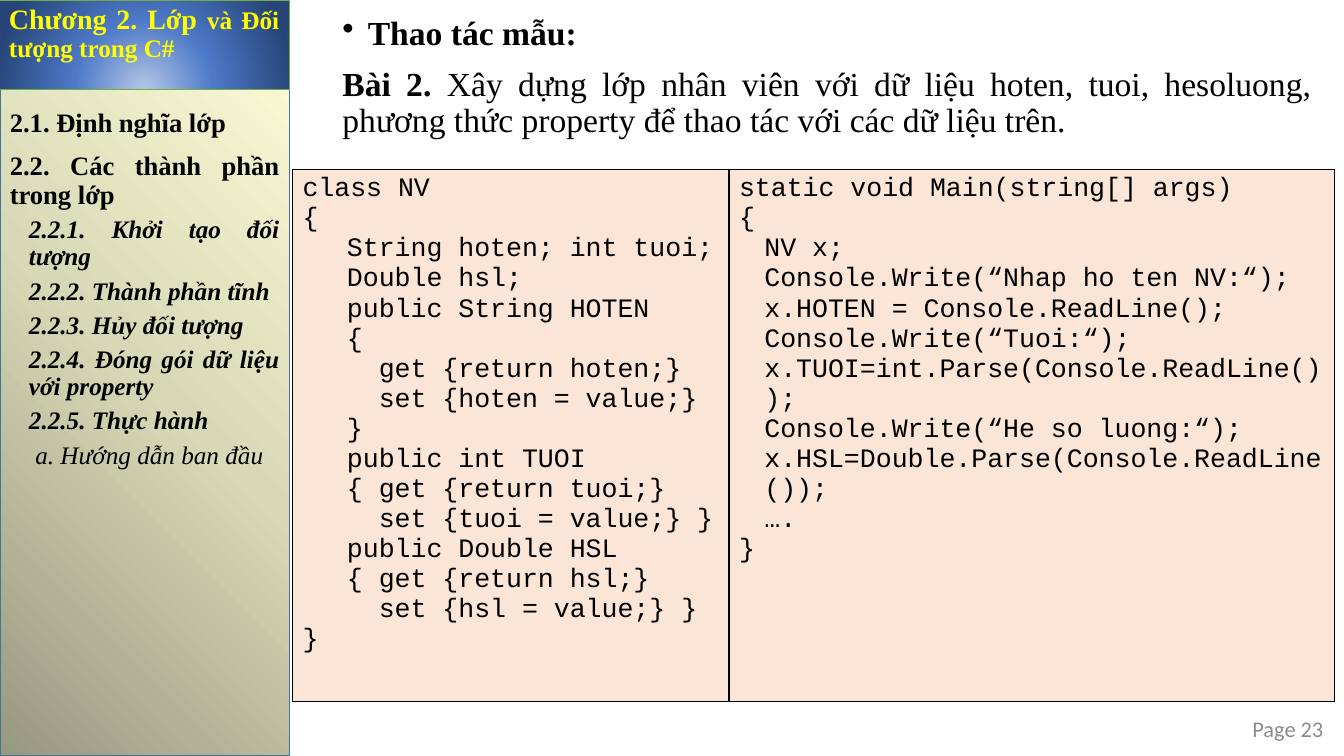
from dataclasses import dataclass

from lxml.etree import SubElement
from pptx import Presentation
from pptx.dml.color import RGBColor
from pptx.enum.shapes import MSO_CONNECTOR, MSO_SHAPE
from pptx.enum.text import MSO_ANCHOR, MSO_AUTO_SIZE, PP_ALIGN
from pptx.oxml import parse_xml
from pptx.oxml.ns import nsdecls, qn
from pptx.shapes.autoshape import Shape
from pptx.slide import Slide
from pptx.table import _Cell
from pptx.text.text import TextFrame, _Paragraph
from pptx.util import Cm, Pt


@dataclass(frozen=True)
class Theme:
    serif: str = "Times New Roman"
    code: str = "Courier New"
    sans: str = "Calibri"
    black: str = "000000"
    yellow: str = "FFFF00"
    grey: str = "8C8C8C"
    peach: str = "FBE5D6"
    divider: str = "5B9BD5"
    sidebar_line: str = "43739E"
    band_line: str = "70AD47"
    sidebar_stops: tuple = ((0, "979880"), (50, "D7D8B5"), (100, "FEFFD9"))
    band_stops: tuple = ((0, "B4C7E7"), (46, "4D79C7"), (100, "264478"))
    body_size: int = 24
    chapter_size: int = 20
    section_size: int = 19
    topic_size: int = 18
    code_size: int = 19
    page_size: int = 16


THEME = Theme()


@dataclass(frozen=True)
class Box:
    left: float
    top: float
    width: float
    height: float

    def lengths(self) -> tuple:
        return Cm(self.left), Cm(self.top), Cm(self.width), Cm(self.height)


@dataclass(frozen=True)
class Span:
    text: str
    size: int
    bold: bool = False
    italic: bool = False
    font: str = THEME.serif
    color: str = THEME.black


@dataclass(frozen=True)
class Line:
    spans: tuple
    margin: float = 0
    indent: float = 0
    before: int = 10
    spacing: float = 0.9
    align: PP_ALIGN = PP_ALIGN.JUSTIFY
    bullet: str = ""


@dataclass(frozen=True)
class CodeColumn:
    width: float
    margin: float
    indent: float
    source: str


SIDEBAR_WIDTH = 7.29
SLIDE_HEIGHT = 19.05
BAND = Box(-0.03, 0, 7.32, 2.26)
OUTLINE = Box(0, 2.64, SIDEBAR_WIDTH, 16.18)
EXERCISE = Box(8.38, 0.3, 24.92, 17.88)
CODE = Box(7.37, 4.27, 26.27, 13.41)
PAGE = Box(30.68, 17.88, 2.92, 0.94)

CHAPTER = [Line((
    Span("Chương 2. Lớp ", THEME.chapter_size, True, color=THEME.yellow),
    Span("và Đối tượng trong C#", THEME.topic_size, True, color=THEME.yellow),
))]
SECTIONS = ["2.1. Định nghĩa lớp", "2.2. Các thành phần trong lớp"]
TOPICS = [
    "2.2.1. Khởi tạo đối tượng",
    "2.2.2. Thành phần tĩnh",
    "2.2.3. Hủy đối tượng",
    "2.2.4. Đóng gói dữ liệu với property",
    "2.2.5. Thực hành",
]
OUTLINE_LINES = [
    *(Line((Span(text, THEME.section_size, True),)) for text in SECTIONS),
    *(Line((Span(text, THEME.topic_size, True, True),), 0.48, before=5) for text in TOPICS),
    Line((Span("a. Hướng dẫn ban đầu", THEME.topic_size, italic=True),), 0.64, before=5),
]
EXERCISE_LINES = [
    Line((Span("Thao tác mẫu:", THEME.body_size, True),), 0.64, -0.64, bullet="•"),
    Line((
        Span("Bài 2. ", THEME.body_size, True),
        Span("Xây dựng lớp nhân viên với dữ liệu hoten, tuoi, hesoluong, "
             "phương thức property để thao tác với các dữ liệu trên.", THEME.body_size),
    )),
]
CODE_COLUMNS = [
    CodeColumn(11, 0, 1.12, """class NV
{
String hoten; int tuoi;
Double hsl;
public String HOTEN
{
  get {return hoten;}
  set {hoten = value;}
}
public int TUOI
{ get {return tuoi;}
  set {tuoi = value;} }
public Double HSL
{ get {return hsl;}
  set {hsl = value;} }
}"""),
    CodeColumn(15.27, 0.64, 0, """static void Main(string[] args)
{
NV x;
Console.Write(“Nhap ho ten NV:“);
x.HOTEN = Console.ReadLine();
Console.Write(“Tuoi:“);
x.TUOI=int.Parse(Console.ReadLine());
Console.Write(“He so luong:“);
x.HSL=Double.Parse(Console.ReadLine());
….
}"""),
]


def write_line(paragraph: _Paragraph, line: Line, first: bool) -> None:
    properties = paragraph._p.get_or_add_pPr()
    properties.set("marL", str(Cm(line.margin)))
    properties.set("indent", str(Cm(line.indent)))
    if line.bullet:
        SubElement(properties, qn("a:buChar")).set("char", line.bullet)
    paragraph.alignment = line.align
    paragraph.line_spacing = line.spacing
    paragraph.space_before = Pt(0 if first else line.before)
    for span in line.spans:
        run = paragraph.add_run()
        run.text = span.text
        run.font.name = span.font
        run.font.size = Pt(span.size)
        run.font.bold = span.bold
        run.font.italic = span.italic
        run.font.color.rgb = RGBColor.from_string(span.color)


def write_lines(frame: TextFrame, lines: list[Line]) -> None:
    frame.word_wrap = True
    for index, line in enumerate(lines):
        paragraph = frame.add_paragraph() if index else frame.paragraphs[0]
        write_line(paragraph, line, index == 0)


def add_text(slide: Slide, box: Box, lines: list[Line], anchor=MSO_ANCHOR.TOP) -> None:
    frame = slide.shapes.add_textbox(*box.lengths()).text_frame
    frame.vertical_anchor = anchor
    write_lines(frame, lines)


def paint(shape: Shape, stops: tuple, direction: str, line_color: str, width: float) -> None:
    """Give the shape a gradient, whose direction is DrawingML, and an outline."""
    stop_xml = "".join(f'<a:gs pos="{position * 1000}"><a:srgbClr val="{color}"/></a:gs>'
                       for position, color in stops)
    gradient = parse_xml(f'<a:gradFill {nsdecls("a")} rotWithShape="1">'
                         f"<a:gsLst>{stop_xml}</a:gsLst>{direction}</a:gradFill>")
    shape.line.color.rgb = RGBColor.from_string(line_color)
    shape.line.width = Pt(width)
    shape.element.spPr.find(qn("a:ln")).addprevious(gradient)


def add_sidebar(slide: Slide) -> None:
    divider = slide.shapes.add_connector(
        MSO_CONNECTOR.STRAIGHT, Cm(SIDEBAR_WIDTH), 0, Cm(SIDEBAR_WIDTH), Cm(SLIDE_HEIGHT))
    divider.line.color.rgb = RGBColor.from_string(THEME.divider)
    divider.line.width = Pt(1.5)
    SubElement(divider.element.spPr, qn("a:effectLst"))
    panel = slide.shapes.add_shape(
        MSO_SHAPE.RECTANGLE, *Box(0, 0, SIDEBAR_WIDTH, SLIDE_HEIGHT).lengths())
    panel.shadow.inherit = False
    paint(panel, THEME.sidebar_stops, '<a:lin ang="18900000" scaled="0"/>', THEME.sidebar_line, 1)


def place_title(slide: Slide) -> None:
    """Format the title as the chapter band and bring it in front of the sidebar."""
    title = slide.shapes.title
    title.left, title.top, title.width, title.height = BAND.lengths()
    paint(title, THEME.band_stops,
          '<a:path path="circle"><a:fillToRect l="50000" t="130000" r="50000" b="-30000"/></a:path>',
          THEME.band_line, 0.5)
    title.text_frame.auto_size = MSO_AUTO_SIZE.NONE
    title.text_frame.vertical_anchor = MSO_ANCHOR.TOP
    write_lines(title.text_frame, CHAPTER)
    title.element.getparent().append(title.element)


def fill_code_cell(cell: _Cell, column: CodeColumn) -> None:
    """Write the code, setting in all lines but the header, its brace and the last brace."""
    source = column.source.splitlines()
    lines = []
    for index, text in enumerate(source):
        inner = 1 < index < len(source) - 1
        lines.append(Line((Span(text, THEME.code_size, font=THEME.code),),
                          column.margin * inner, column.indent * inner,
                          before=0, spacing=1.0, align=PP_ALIGN.LEFT))
    write_lines(cell.text_frame, lines)
    properties = cell._tc.get_or_add_tcPr()
    for side in ("lnL", "lnR", "lnT", "lnB"):
        border = SubElement(properties, qn(f"a:{side}"), w=str(Pt(1)))
        fill = SubElement(border, qn("a:solidFill"))
        SubElement(fill, qn("a:srgbClr"), val=THEME.black)
    cell.fill.solid()
    cell.fill.fore_color.rgb = RGBColor.from_string(THEME.peach)


def add_code_table(slide: Slide) -> None:
    table = slide.shapes.add_table(1, len(CODE_COLUMNS), *CODE.lengths()).table
    table.first_row = table.horz_banding = False
    for index, column in enumerate(CODE_COLUMNS):
        table.columns[index].width = Cm(column.width)
        fill_code_cell(table.cell(0, index), column)


def main() -> None:
    presentation = Presentation()
    presentation.slide_width, presentation.slide_height = Cm(33.87), Cm(SLIDE_HEIGHT)
    slide = presentation.slides.add_slide(presentation.slide_layouts.get_by_name("Title Only"))
    add_sidebar(slide)
    page = Span("Page 23", THEME.page_size, font=THEME.sans, color=THEME.grey)
    add_text(slide, PAGE, [Line((page,), spacing=1.0, align=PP_ALIGN.RIGHT)], MSO_ANCHOR.MIDDLE)
    add_text(slide, EXERCISE, EXERCISE_LINES)
    place_title(slide)
    add_text(slide, OUTLINE, OUTLINE_LINES)
    add_code_table(slide)
    presentation.save("out.pptx")


if __name__ == "__main__":
    main()
